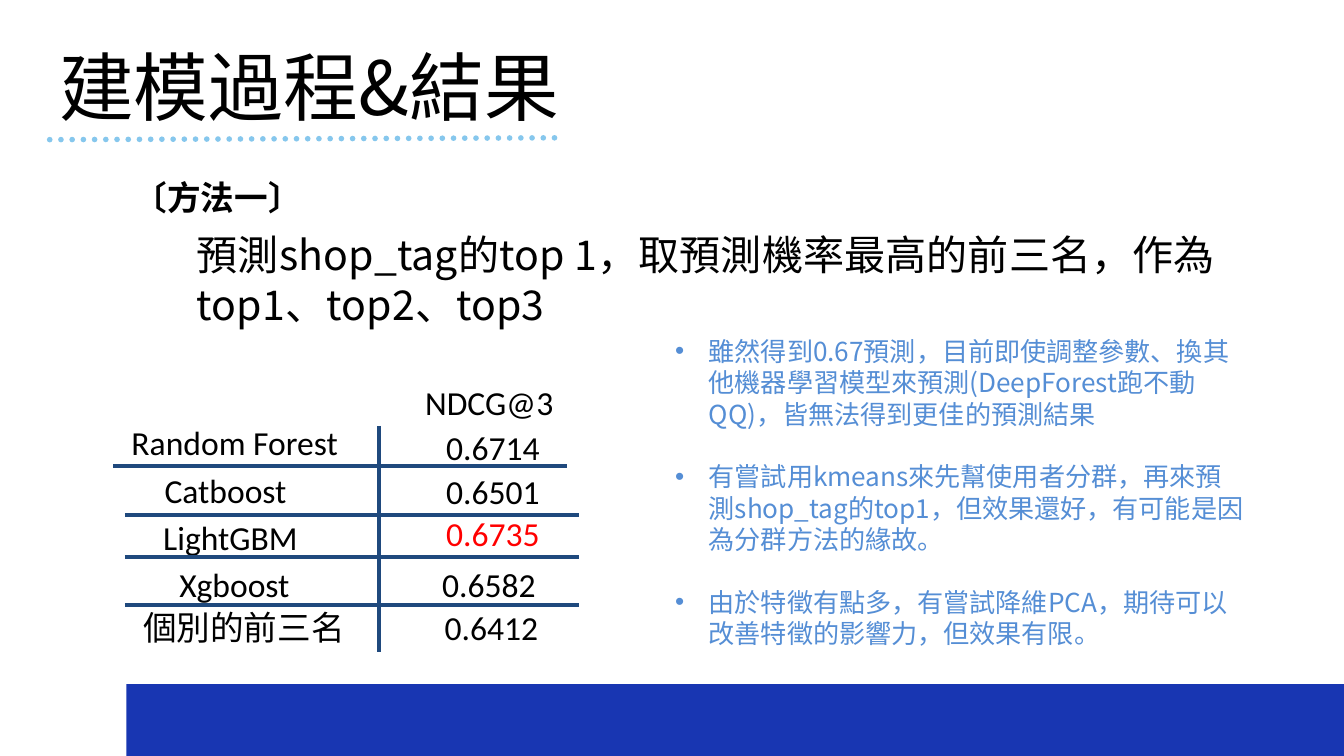
from lxml import etree
from pptx import Presentation
from pptx.dml.color import RGBColor
from pptx.enum import dml, shapes, text
from pptx.oxml import ns
from pptx.util import Cm, Pt

BLACK = RGBColor(0x00, 0x00, 0x00)
RED = RGBColor(0xFF, 0x00, 0x00)
NAVY = RGBColor(0x1F, 0x49, 0x7D)
NOTE_BLUE = RGBColor(0x55, 0x8E, 0xD5)
DOT_BLUE = RGBColor(0x86, 0xC7, 0xED)
BANNER_BLUE = RGBColor(0x18, 0x36, 0xB2)
CJK, LATIN = "Noto Sans CJK SC", "Calibri"

# All lengths are in centimetres.
TITLE = "建模過程&結果"
METHOD = "〔方法一〕"
SUMMARY = "預測shop_tag的top 1，取預測機率最高的前三名，作為top1、top2、top3"
METRIC = "NDCG@3"
# model, font, (left, top, width), score, colour, (left, top)
SCORES = [
    ("Random Forest", LATIN, (4.72, 15.82, 8.38), "0.6714", BLACK, (16.61, 16.03)),
    ("Catboost", LATIN, (5.97, 17.63, 5.18), "0.6501", BLACK, (16.61, 17.68)),
    ("LightGBM", LATIN, (5.92, 19.41, 7.19), "0.6735", RED, (16.61, 19.25)),
    ("Xgboost", LATIN, (6.53, 21.21, 7.19), "0.6582", BLACK, (16.46, 21.18)),
    ("個別的前三名", CJK, (5.16, 22.83, 26.77), "0.6412", BLACK, (16.56, 22.81)),
]
ROW_HEIGHT, SCORE_WIDTH, RULE_LENGTH = 1.8, 5.3, 17.15
ROW_RULES = [(4.29, 17.63), (4.72, 19.46), (4.72, 21.06), (4.72, 22.86)]
COLUMN_RULE = (14.33, 16.1, 14.33, 24.64)
TITLE_RULE = (20.96, 5.21, 1.7, 5.28)
NOTES = [
    "雖然得到0.67預測，目前即使調整參數、換其他機器學習模型來預測(DeepForest跑不動QQ)，皆無法得到更佳的預測結果",
    "有嘗試用kmeans來先幫使用者分群，再來預測shop_tag的top1，但效果還好，有可能是因為分群方法的緣故。",
    "由於特徵有點多，有嘗試降維PCA，期待可以改善特徵的影響力，但效果有限。",
]
BANNER = [(52.25, 25.86), (4.78, 25.86), (4.78, 29.49), (53.57, 29.49)]


def add_bullet(paragraph):
    properties = paragraph._p.get_or_add_pPr()
    properties.set("marL", str(Cm(1.27)))
    properties.set("indent", str(-Cm(1.27)))
    etree.SubElement(properties, ns.qn("a:buFont")).set("typeface", "Arial")
    etree.SubElement(properties, ns.qn("a:buChar")).set("char", "•")


def write(shape, *lines, size=36, font=LATIN, color=BLACK, bold=False, wrap=True,
          leading=None, gap=0, spacing=None, bullets=False):
    """Fill a shape with one paragraph per line, all in one format."""
    frame = shape.text_frame
    frame.word_wrap = wrap
    frame.auto_size = text.MSO_AUTO_SIZE.SHAPE_TO_FIT_TEXT
    frame.vertical_anchor = text.MSO_ANCHOR.TOP
    for index, line in enumerate(lines):
        paragraph = frame.add_paragraph() if index else frame.paragraphs[0]
        paragraph.alignment = text.PP_ALIGN.LEFT
        paragraph.space_before = Pt(gap if index else 0)
        if leading:
            paragraph.line_spacing = Pt(leading)
        if bullets:
            add_bullet(paragraph)
        run = paragraph.add_run()
        run.text = line
        run.font.size, run.font.bold, run.font.name = Pt(size), bold, font
        run.font.color.rgb = color
        properties = run._r.get_or_add_rPr()
        etree.SubElement(properties, ns.qn("a:ea")).set("typeface", font)
        if spacing:
            properties.set("spc", str(round(spacing * 100)))


def add_text(slide, box, *lines, **style):
    shape = slide.shapes.add_textbox(*map(Cm, box))
    write(shape, *lines, **style)


def add_rule(slide, ends, color=NAVY, width=4.5, dotted=False):
    rule = slide.shapes.add_connector(shapes.MSO_CONNECTOR.STRAIGHT, *map(Cm, ends))
    rule.line.color.rgb = color
    rule.line.width = Pt(width)
    properties = rule._element.spPr
    if dotted:
        rule.line.dash_style = dml.MSO_LINE.ROUND_DOT
        properties.find(ns.qn("a:ln")).set("cap", "rnd")
    etree.SubElement(properties, ns.qn("a:effectLst"))


def add_banner(slide):
    corners = [(Cm(x), Cm(y)) for x, y in BANNER]
    builder = slide.shapes.build_freeform(*corners[0])
    builder.add_line_segments(corners[1:], close=True)
    banner = builder.convert_to_shape()
    banner.shadow.inherit = False
    banner.fill.solid()
    banner.fill.fore_color.rgb = BANNER_BLUE
    banner.line.fill.background()


def add_title(slide):
    title = slide.shapes.title
    title.left, title.top, title.width, title.height = map(Cm, (2.24, 3.68, 26.97, 1.6))
    frame = title.text_frame
    frame.margin_left = frame.margin_top = frame.margin_right = frame.margin_bottom = 0
    write(title, TITLE, size=80, font=CJK, leading=35, spacing=0.1)


def add_scores(slide):
    add_text(slide, (15.82, 14.33, 5.41, ROW_HEIGHT), METRIC, wrap=False)
    for model, font, (left, top, width), score, color, corner in SCORES:
        add_text(slide, (left, top, width, ROW_HEIGHT), model, font=font,
                 wrap=model not in ("Random Forest", "Catboost"))
        add_text(slide, (*corner, SCORE_WIDTH, ROW_HEIGHT), score, color=color)
    for left, top in ROW_RULES:
        add_rule(slide, (left, top, left + RULE_LENGTH, top))
    add_rule(slide, COLUMN_RULE)


def main():
    presentation = Presentation()
    presentation.slide_width, presentation.slide_height = Cm(50.8), Cm(28.58)
    slide = presentation.slides.add_slide(presentation.slide_layouts[5])
    add_title(slide)
    add_banner(slide)
    add_rule(slide, TITLE_RULE, color=DOT_BLUE, width=6, dotted=True)
    add_text(slide, (4.8, 6.86, 6.93, 1.5), METHOD, font=CJK, bold=True,
             wrap=False, leading=35, spacing=0.1)
    add_text(slide, (7.19, 8.56, 40.16, 4.01), SUMMARY, size=44, font=CJK, spacing=0.1)
    add_scores(slide)
    add_text(slide, (25.27, 12.55, 22.05, 12.22), *NOTES, size=28, font=CJK,
             color=NOTE_BLUE, gap=33.5, bullets=True)
    presentation.save("out.pptx")


if __name__ == "__main__":
    main()
